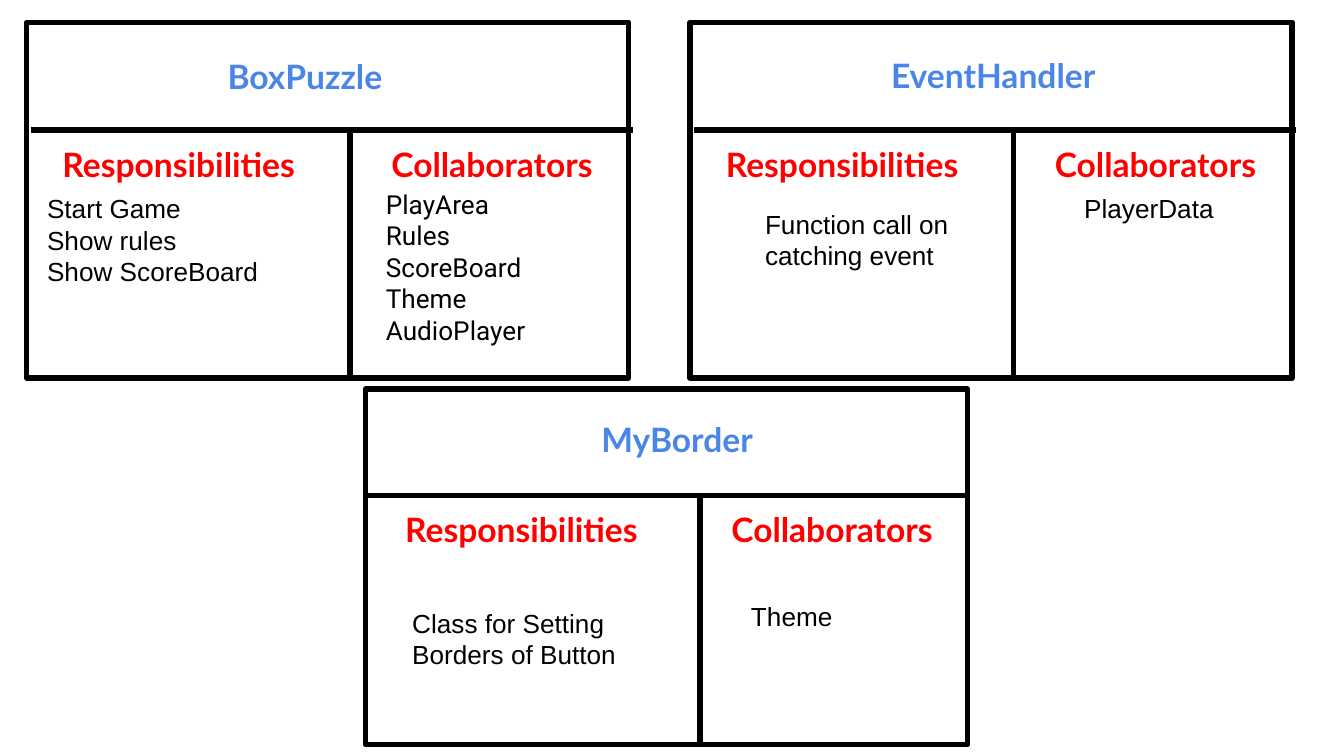
"""Build a slide of three class cards with their responsibilities and collaborators."""
from lxml import etree
from pptx import Presentation
from pptx import util as u
from pptx.dml.color import RGBColor
from pptx.enum import shapes, text
from pptx.oxml import ns

PX = 9525
BLACK = RGBColor(0x00, 0x00, 0x00)
WHITE = RGBColor(0xFF, 0xFF, 0xFF)
BLUE = RGBColor(0x4A, 0x86, 0xE8)
RED = RGBColor(0xFF, 0x00, 0x00)

TITLE = {"name": "Lato", "size": u.Pt(18), "bold": True}
BODY = {"name": "Arial", "size": u.Pt(14), "bold": False}
FRAME = {
    "word_wrap": True,
    "auto_size": text.MSO_AUTO_SIZE.NONE,
    "vertical_anchor": text.MSO_ANCHOR.TOP,
    **{f"margin_{side}": u.Inches(0.1) for side in ("left", "right", "top", "bottom")},
}
PARA = {"alignment": text.PP_ALIGN.LEFT, "space_before": u.Pt(0), "space_after": u.Pt(0)}

CARDS = [
    {
        "at": (19, 16), "rule": (22, 93), "split": (250, 269),
        "name": ("BoxPuzzle", (153, 30, 231, 53)),
        "heads": ((35, 93), (270, 93)),
        "lists": (
            (["Start Game", "Show rules", "Show ScoreBoard"], (24, 128, 180, 87), "Arial"),
            (["PlayArea", "Rules", "ScoreBoard", "Theme", "AudioPlayer"],
             (266, 125, 180, 121), "Roboto"),
        ),
    },
    {
        "at": (493, 16), "rule": (496, 93), "split": (724, 269),
        "name": ("EventHandler", (627, 30, 195, 53)),
        "heads": ((509, 93), (744, 93)),
        "lists": (
            (["Function call on catching event"], (537, 139, 154, 87), "Arial"),
            (["PlayerData"], (765, 128, 127, 108), "Arial"),
        ),
    },
    {
        "at": (261, 278), "rule": (259, 354), "split": (500, 530),
        "name": ("MyBorder", (420, 290, 195, 53)),
        "heads": ((280, 354), (513, 354)),
        "lists": (
            (["Class for Setting Borders of Button"], (285, 424, 174, 84), "Arial"),
            (["Theme"], (527, 419, 127, 108), "Arial"),
        ),
    },
]


def style(item, values):
    """Set every attribute named in values on item."""
    for key, value in values.items():
        setattr(item, key, value)


def place(shape, box):
    """Move and size a shape to a box in px."""
    style(shape, dict(zip(("left", "top", "width", "height"), (n * PX for n in box))))


def edge(item):
    """Give a shape or connector a thick black outline with round joins."""
    item.line.color.rgb = BLACK
    item.line.width = u.Pt(3)
    etree.SubElement(item.element.spPr.find(ns.qn("a:ln")), ns.qn("a:round"))


def panel(slide, left, top):
    """Draw the white outlined card."""
    box = slide.shapes.add_shape(shapes.MSO_SHAPE.RECTANGLE, 0, 0, 0, 0)
    place(box, (left, top, 430, 254))
    box.shadow.inherit = False
    box.fill.solid()
    box.fill.fore_color.rgb = WHITE
    edge(box)


def rule(slide, *ends):
    """Draw a straight line between two points in px."""
    line = slide.shapes.add_connector(
        shapes.MSO_CONNECTOR.STRAIGHT, *(n * PX for n in ends))
    edge(line)
    etree.SubElement(line.element.spPr, ns.qn("a:effectLst"))


def write(slide, holder, lines, box, font, color):
    """Write lines into a placeholder, or into a new text box if there is none."""
    shape = holder or slide.shapes.add_textbox(0, 0, 0, 0)
    slide.shapes.element.append(shape.element)
    place(shape, box)
    frame = shape.text_frame
    style(frame, FRAME)
    frame.text = "\n".join(lines)
    for para in frame.paragraphs:
        props = para._p.get_or_add_pPr()
        props.set("marL", "0")
        props.set("indent", "0")
        etree.SubElement(props, ns.qn("a:buNone"))
        style(para, PARA)
        style(para.font, font)
        para.font.color.rgb = color


def card(slide, data, holders):
    """Draw one class card with its name, headings and lists."""
    panel(slide, *data["at"])
    left, top = data["rule"]
    split, foot = data["split"]
    rule(slide, left, top, left + 430, top)
    rule(slide, split, foot, split, top)
    name, box = data["name"]
    write(slide, next(holders, None), [name], box, TITLE, BLUE)
    heads = (("Responsibilities", 208), ("Collaborators", 195))
    for (head, width), spot, (lines, area, face) in zip(heads, data["heads"], data["lists"]):
        write(slide, next(holders, None), [head], (*spot, width, 53), TITLE, RED)
        write(slide, next(holders, None), lines, area, {**BODY, "name": face}, BLACK)


def main():
    """Build and save the deck."""
    deck = Presentation()
    style(deck, {"slide_width": 960 * PX, "slide_height": 540 * PX})
    slide = deck.slides.add_slide(deck.slide_layouts.get_by_name("Comparison"))
    holders = iter(list(slide.placeholders))
    for data in CARDS:
        card(slide, data, holders)
    deck.save("out.pptx")


if __name__ == "__main__":
    main()
